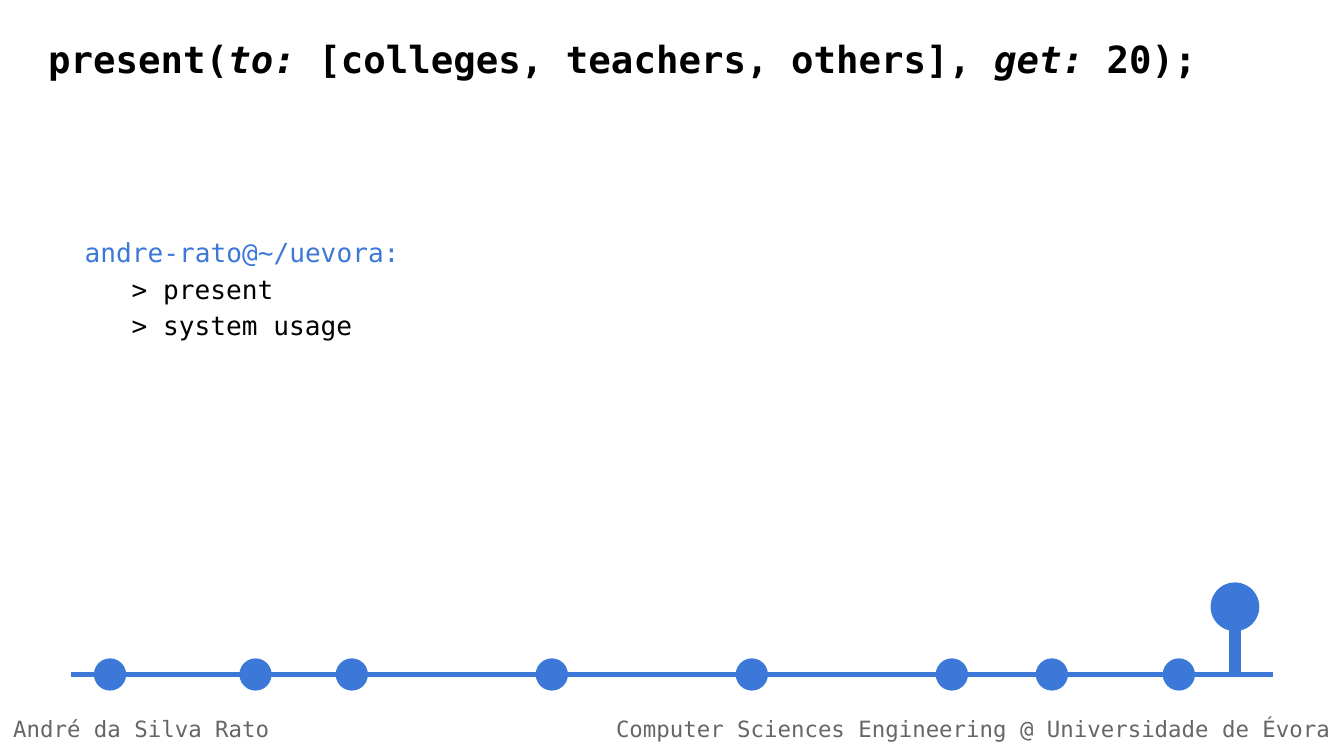
from lxml.etree import SubElement
from pptx import Presentation
from pptx.dml.color import RGBColor
from pptx.enum.shapes import MSO_CONNECTOR, MSO_SHAPE
from pptx.enum.text import MSO_AUTO_SIZE, PP_ALIGN
from pptx.oxml.ns import qn
from pptx.util import Cm, Pt

BLACK = RGBColor(0x00, 0x00, 0x00)
BLUE = RGBColor(0x3C, 0x78, 0xD8)
GRAY = RGBColor(0x66, 0x66, 0x66)


class Deck:
    """Holds the style and the current slide; lengths are in centimetres."""

    font = "DejaVu Sans Mono"
    pad = Cm(0.25)

    def __init__(self, slide):
        self.slide = slide

    def box(self, left, top, width, height):
        shape = self.slide.shapes.add_textbox(
            Cm(left), Cm(top), Cm(width), Cm(height))
        frame = shape.text_frame
        frame.word_wrap = True
        frame.auto_size = MSO_AUTO_SIZE.SHAPE_TO_FIT_TEXT
        frame.margin_left = frame.margin_right = self.pad
        frame.margin_top = frame.margin_bottom = self.pad
        return frame

    def style(self, run, size, color, bold=False, italic=False):
        font = run.font
        font.name = self.font
        font.size = Pt(size)
        font.color.rgb = color
        font.bold = bold
        font.italic = italic

    def title(self, parts):
        para = self.box(0.66, 0.43, 24.05, 1.37).paragraphs[0]
        for text, italic in parts:
            run = para.add_run()
            run.text = text
            self.style(run, 20, BLACK, bold=True, italic=italic)

    def body(self, prompt, items):
        frame = self.box(1.35, 4.14, 22.73, 2.49)
        frame.text = "\n".join([prompt] + items)
        for i, para in enumerate(frame.paragraphs):
            para.line_spacing = 1.15
            if i:  # items sit three letters in from the prompt
                para._p.get_or_add_pPr().set("marL", str(Cm(0.89)))
            self.style(para.runs[0], 14, BLACK if i else BLUE)

    def footer(self, text, left, align):
        para = self.box(left, 13.26, 14.58, 1.02).paragraphs[0]
        para.text = text
        para.alignment = align
        self.style(para.runs[0], 12, GRAY)

    def line(self, x1, y1, x2, y2, width):
        line = self.slide.shapes.add_connector(
            MSO_CONNECTOR.STRAIGHT, Cm(x1), Cm(y1), Cm(x2), Cm(y2))
        line.line.color.rgb = BLUE
        line.line.width = Pt(width)
        SubElement(line._element.spPr, qn("a:effectLst"))

    def dot(self, x, y, size):
        dot = self.slide.shapes.add_shape(
            MSO_SHAPE.OVAL, Cm(x - size / 2), Cm(y - size / 2),
            Cm(size), Cm(size))
        dot.shadow.inherit = False
        dot.fill.solid()
        dot.fill.fore_color.rgb = BLUE
        dot.line.fill.background()


def main():
    prs = Presentation()
    prs.slide_width, prs.slide_height = Cm(25.4), Cm(14.29)
    deck = Deck(prs.slides.add_slide(prs.slide_layouts[6]))

    # Title
    deck.title([("present(", False), ("to:", True),
                (" [colleges, teachers, others], ", False),
                ("get:", True), (" 20);", False)])

    # Timeline: four even stops, one half step, and the outer ones
    base, step, start = 12.75, 3.78, 6.65
    deck.line(1.35, base, 24.05, base, 3)
    even = [start + step * i for i in (0, 1, 2, 3, 3.5)]
    for x in [2.08, 4.83] + even + [22.28]:
        deck.dot(x, base, 0.61)

    # Pin at the current stop
    pin = 23.34
    deck.line(pin, base, pin, 11.84, 6)
    deck.dot(pin, 11.47, 0.92)

    # Prompt
    deck.body("andre-rato@~/uevora:", ["> present", "> system usage"])

    # Footer
    deck.footer("André da Silva Rato", 0, PP_ALIGN.LEFT)
    deck.footer("Computer Sciences Engineering @ Universidade de Évora",
                10.82, PP_ALIGN.RIGHT)

    prs.save("out.pptx")


if __name__ == "__main__":
    main()
